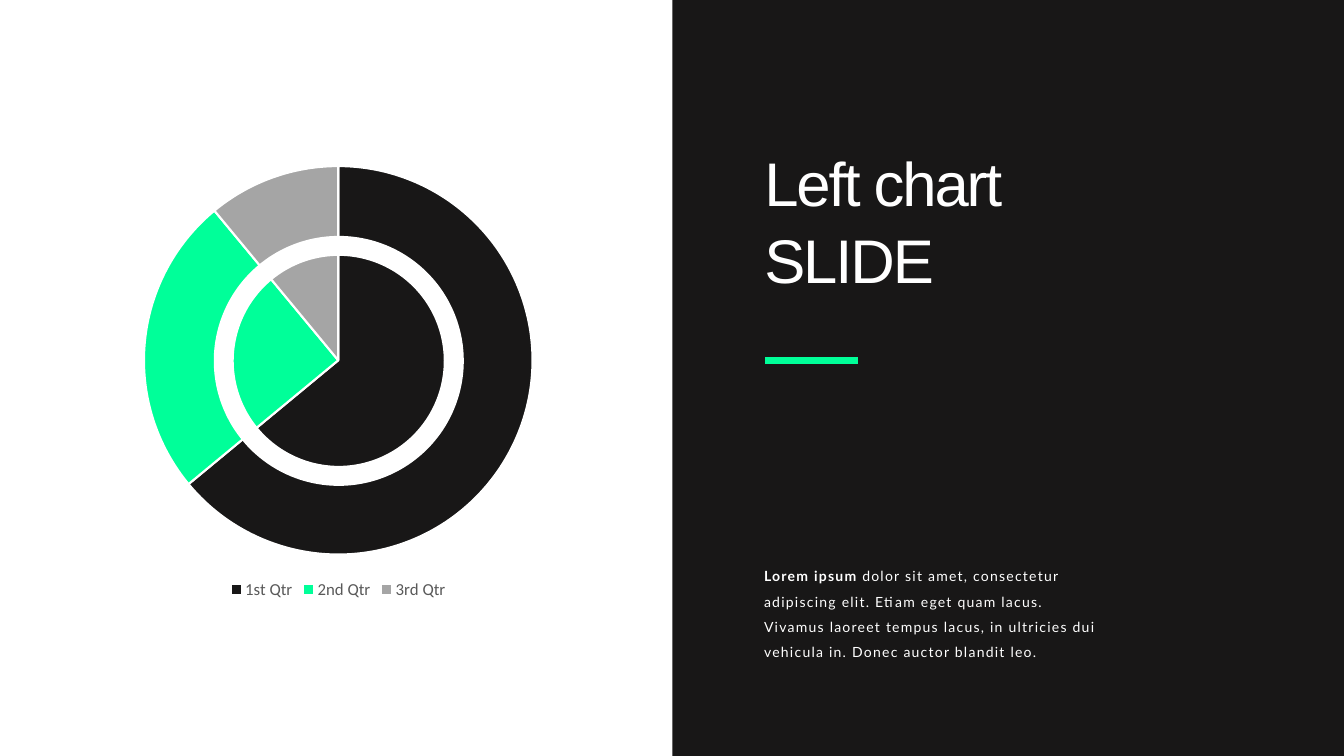
import pptx
import pptx.util
import pptx.chart.data
import pptx.dml.color
import pptx.enum.chart
import pptx.enum.shapes
import pptx.enum.text
import pptx.oxml
import pptx.oxml.ns

Inches = pptx.util.Inches
Pt = pptx.util.Pt

COLORS = {
    "dark": "181717",
    "green": "00FF99",
    "gray": "A5A5A5",
    "legend": "595959",
    "white": "FFFFFF",
}
QUARTERS = [("1st Qtr", 64, "dark"), ("2nd Qtr", 25, "green"), ("3rd Qtr", 11, "gray")]


def color(name):
    return pptx.dml.color.RGBColor.from_string(COLORS[name])


def apply_format(target, values):
    for name, value in values.items():
        setattr(target, name, value)


def add_span(para, text, size, font, spacing, bold=False):
    span = para.add_run()
    span.text = text
    apply_format(span.font, {"size": Pt(size), "name": font, "bold": bold})
    span.font.color.rgb = color("white")
    # Letter spacing is stored in hundredths of a point
    span.font._element.set("spc", str(round(spacing * 100)))


def add_plain_shape(page, kind, fill, left, top, width, height):
    shape = page.shapes.add_shape(
        kind, Inches(left), Inches(top), Inches(width), Inches(height))
    shape.shadow.inherit = False
    shape.fill.solid()
    shape.fill.fore_color.rgb = color(fill)
    shape.line.fill.background()
    return shape


def add_pie(page):
    data = pptx.chart.data.CategoryChartData()
    data.categories = [name for name, _, _ in QUARTERS]
    data.add_series("Series 1", [value for _, value, _ in QUARTERS])
    chart = page.shapes.add_chart(
        pptx.enum.chart.XL_CHART_TYPE.PIE,
        Inches(0.92), Inches(1.51), Inches(4.87), Inches(4.48), data).chart
    apply_format(chart, {"has_title": False, "has_legend": True})
    apply_format(chart.font, {"size": Pt(10), "name": "Calibri"})
    apply_format(chart.legend, {
        "position": pptx.enum.chart.XL_LEGEND_POSITION.BOTTOM,
        "include_in_layout": False,
    })
    apply_format(chart.legend.font, {"size": Pt(12), "name": "Calibri"})
    chart.legend.font.color.rgb = color("legend")
    plot = chart.plots[0]
    plot.vary_by_categories = True
    for index, (_, _, fill) in enumerate(QUARTERS):
        style = plot.series[0].points[index].format
        style.fill.solid()
        style.fill.fore_color.rgb = color(fill)
        style.line.color.rgb = color("white")
        style.line.width = Pt(1.5)


def add_ring(page):
    ring = add_plain_shape(page, pptx.enum.shapes.MSO_SHAPE.DONUT,
                           "white", 2.12, 2.34, 2.48, 2.48)
    ring.adjustments[0] = 0.08


def format_title(title, panel):
    # Bring the title in front of the dark panel
    panel.element.addnext(title.element)
    apply_format(title, {
        "left": Inches(7.48), "top": Inches(1.38),
        "width": Inches(3.54), "height": Inches(1.58),
    })
    frame = title.text_frame
    apply_format(frame, {
        "word_wrap": True,
        "auto_size": pptx.enum.text.MSO_AUTO_SIZE.NONE,
        "vertical_anchor": pptx.enum.text.MSO_ANCHOR.MIDDLE,
    })
    for index, text in enumerate(["Left chart", "SLIDE"]):
        para = frame.add_paragraph() if index else frame.paragraphs[0]
        apply_format(para, {
            "alignment": pptx.enum.text.PP_ALIGN.LEFT, "line_spacing": 1.05})
        add_span(para, text, 44, "Arial", -1.5)


def add_body(page):
    box = page.shapes.add_textbox(
        Inches(7.48), Inches(5.5), Inches(3.54), Inches(1.08))
    box.text_frame.word_wrap = True
    para = box.text_frame.paragraphs[0]
    para.line_spacing = 1.5
    add_span(para, "Lorem ipsum ", 10, "Lato", 0.9, bold=True)
    add_span(para, "dolor sit amet, consectetur adipiscing elit. Etiam eget quam "
             "lacus. Vivamus laoreet tempus lacus, in ultricies dui vehicula in. "
             "Donec auctor blandit leo.", 10, "Lato", 0.9)


def add_accent(page):
    accent = page.shapes.add_connector(
        pptx.enum.shapes.MSO_CONNECTOR.STRAIGHT,
        Inches(7.59), Inches(3.58), Inches(8.51), Inches(3.58))
    accent.line.color.rgb = color("green")
    accent.line.width = Pt(5)
    accent.element.spPr.append(pptx.oxml.parse_xml(
        "<a:effectLst %s/>" % pptx.oxml.ns.nsdecls("a")))


def main():
    deck = pptx.Presentation()
    apply_format(deck, {"slide_width": Inches(13.33), "slide_height": Inches(7.5)})
    page = deck.slides.add_slide(deck.slide_layouts[5])

    # Left half: pie split by a white ring
    add_pie(page)
    add_ring(page)

    # Right half: dark panel with title, accent and text
    panel = add_plain_shape(page, pptx.enum.shapes.MSO_SHAPE.RECTANGLE,
                            "dark", 6.67, 0, 6.66, 7.5)
    format_title(page.shapes.title, panel)
    add_accent(page)
    add_body(page)

    deck.save("out.pptx")


if __name__ == "__main__":
    main()
